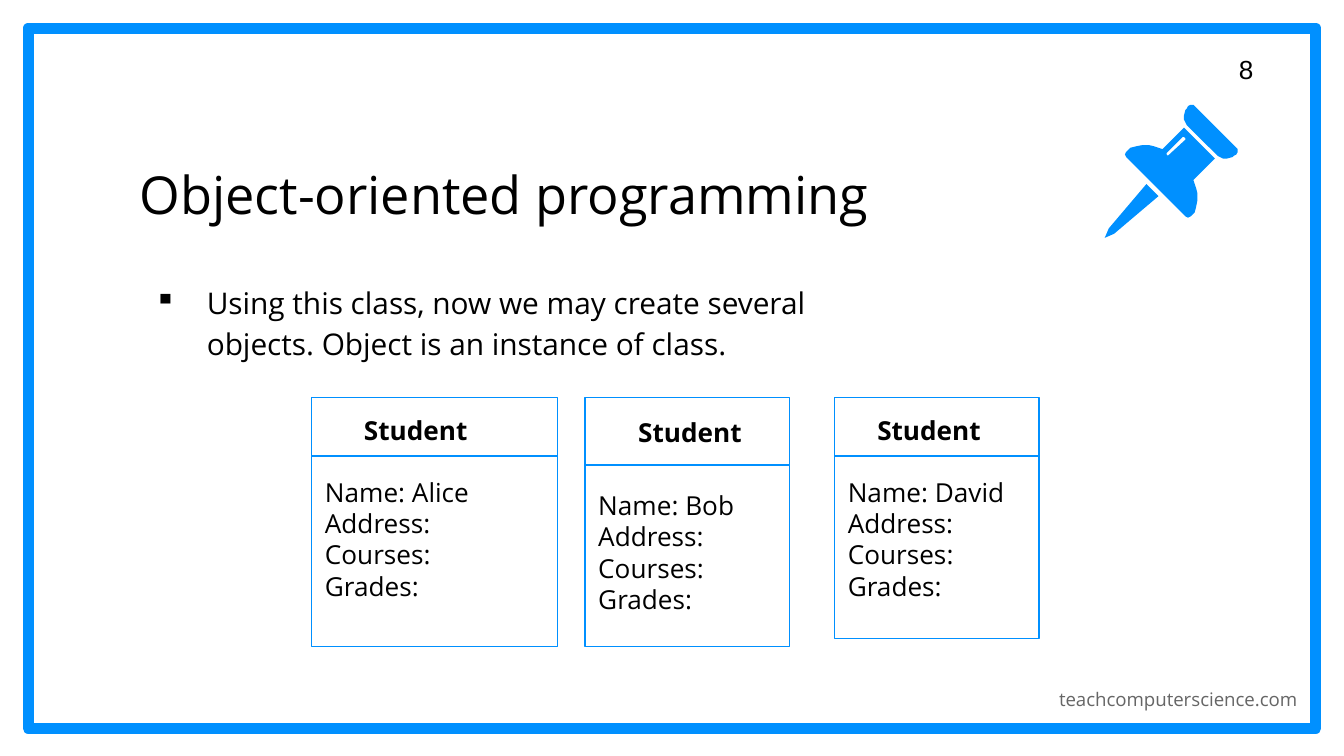
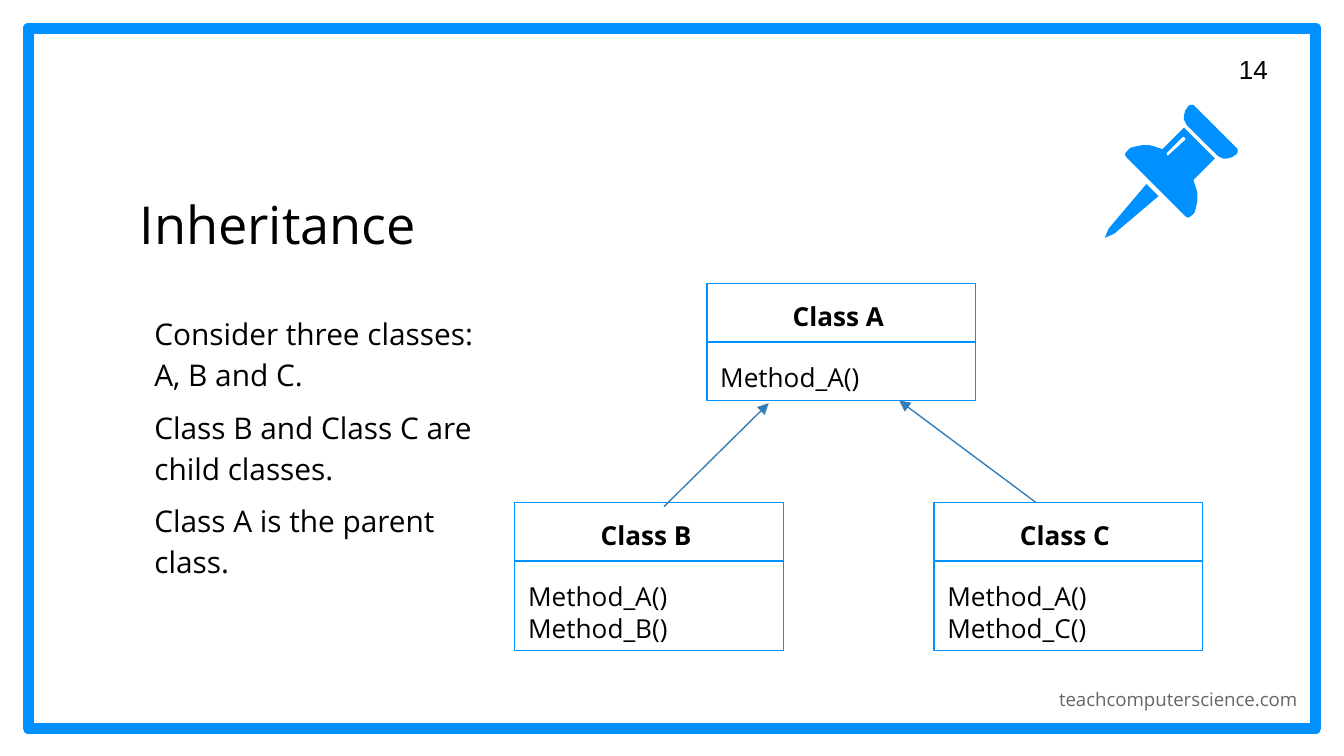
from dataclasses import dataclass

from lxml.etree import SubElement
from pptx import Presentation
from pptx.dml.color import RGBColor
from pptx.enum.shapes import MSO_CONNECTOR, MSO_SHAPE
from pptx.enum.text import MSO_ANCHOR, MSO_AUTO_SIZE, PP_ALIGN
from pptx.oxml.ns import qn
from pptx.shapes.connector import Connector
from pptx.slide import Slide
from pptx.text.text import TextFrame, _Paragraph
from pptx.util import Pt

BLUE = RGBColor(0x00, 0x90, 0xFF)
ARROW_BLUE = RGBColor(0x34, 0x7E, 0xB8)
BLACK = RGBColor(0, 0, 0)
GREY = RGBColor(0x66, 0x66, 0x66)
WHITE = RGBColor(0xFF, 0xFF, 0xFF)
FONT = "Open Sans"

# Pin outlines on a grid of 0.72 pt; each half is mirrored across x + y = PIN_AXIS.
PIN_UNIT = Pt(0.72)
PIN_AXIS = 999
NEEDLE_HALF = [(822, 177), (825, 170), (853, 137)]
CAP_HALF = [(889, 79), (888, 78), (886, 78), (884, 79), (883, 81), (882, 82),
            (881, 86), (881, 89), (882, 91), (883, 93)]
BODY_HALF = [(881, 95), (865, 111), (862, 110), (859, 109), (855, 108), (850, 108),
             (845, 109), (841, 110), (838, 113), (837, 115), (838, 117)]
SLIT = [(881, 102), (882, 103), (882, 104), (870, 115), (869, 116), (868, 115),
        (868, 114), (880, 102)]


@dataclass
class ClassBox:
    name: str
    members: list[str]
    left: float
    top: float
    width: float
    height: float
    name_indent: float
    name_width: float
    members_width: float
    head: float = 31.3
    name_drop: float = 5.4
    members_gap: float = 7


@dataclass
class Arrow:
    x1: float
    y1: float
    x2: float
    y2: float


def student(name: str, left: float, width: float, height: float, name_indent: float,
            name_width: float, members_width: float, **layout: float) -> ClassBox:
    members = [f"Name: {name}", "Address:", "Courses:", "Grades:"]
    return ClassBox("Student", members, left, 213.1, width, height,
                    name_indent, name_width, members_width, **layout)


def class_box(letter: str, methods: str, left: float, top: float, height: float) -> ClassBox:
    return ClassBox(f"Class {letter}", [f"Method_{m}()" for m in methods],
                    left, top, 144, height, 38.9, 71.3, 131)


STUDENTS = [
    student("Alice", 167, 131.8, 133.2, 20.9, 81.4, 92.2),
    student("Bob", 313.4, 109.6, 133.2, 21.4, 71.3, 87.8,
            head=36, name_drop=6.5, members_gap=9.4),
    student("David", 447.1, 109.6, 128.9, 15.8, 77, 98.6),
]
CLASSES = [
    class_box("A", "A", 378.7, 151.9, 62.6),
    class_box("B", "AB", 275.8, 269.3, 79.2),
    class_box("C", "AC", 500.4, 269.3, 79.2),
]
ARROWS = [Arrow(355.7, 271.4, 411.8, 216), Arrow(555.1, 269.3, 481.7, 214.6)]


def add_run(p: _Paragraph, text: str, size: float, color: RGBColor = BLACK,
            font: str = FONT, bold: bool = False) -> None:
    r = p.add_run()
    r.text = text
    r.font.name = font
    r.font.size = Pt(size)
    r.font.bold = bold
    r.font.color.rgb = color


def set_insets(tf: TextFrame, side: float, end: float) -> None:
    tf.margin_left = tf.margin_right = Pt(side)
    tf.margin_top = tf.margin_bottom = Pt(end)


def add_text_box(s: Slide, left: float, top: float, width: float, height: float,
                 end_inset: float = 7.2) -> TextFrame:
    tf = s.shapes.add_textbox(Pt(left), Pt(top), Pt(width), Pt(height)).text_frame
    tf.word_wrap = True
    set_insets(tf, 7.2, end_inset)
    return tf


def paragraph_at(tf: TextFrame, i: int) -> _Paragraph:
    return tf.add_paragraph() if i else tf.paragraphs[0]


def add_line(s: Slide, x1: float, y1: float, x2: float, y2: float,
             color: RGBColor) -> Connector:
    line = s.shapes.add_connector(MSO_CONNECTOR.STRAIGHT, Pt(x1), Pt(y1), Pt(x2), Pt(y2))
    line.line.color.rgb = color
    line.line.width = Pt(0.75)
    SubElement(line.element.spPr, qn("a:effectLst"))
    return line


def add_arrow(s: Slide, arrow: Arrow) -> None:
    line = add_line(s, arrow.x1, arrow.y1, arrow.x2, arrow.y2, ARROW_BLUE)
    SubElement(line.element.spPr.find(qn("a:ln")), qn("a:tailEnd"), type="triangle")


def mirrored(half: list[tuple[int, int]]) -> list[tuple[int, int]]:
    return half + [(PIN_AXIS - y, PIN_AXIS - x) for x, y in reversed(half)]


def add_pin(s: Slide) -> None:
    for outline, *holes in ([mirrored(NEEDLE_HALF)], [mirrored(CAP_HALF)],
                            [mirrored(BODY_HALF), SLIT]):
        builder = s.shapes.build_freeform(*outline[0], scale=PIN_UNIT)
        builder.add_line_segments(outline[1:], close=True)
        for hole in holes:
            builder.move_to(*hole[0])
            builder.add_line_segments(hole[1:], close=True)
        part = builder.convert_to_shape()
        part.shadow.inherit = False
        part.fill.solid()
        part.fill.fore_color.rgb = BLUE
        part.line.fill.background()


def add_titled_slide(prs: Presentation, title: str, title_top: float, number: int) -> Slide:
    """Add a slide with the frame, footer, title, page number and pin."""
    s = prs.slides.add_slide(prs.slide_layouts[5])
    frame = s.shapes.add_shape(MSO_SHAPE.RECTANGLE, Pt(15.1), Pt(15.1), Pt(689.8), Pt(375.1))
    frame.shadow.inherit = False
    frame.fill.solid()
    frame.fill.fore_color.rgb = WHITE
    frame.line.color.rgb = BLUE
    frame.line.width = Pt(6)

    p = add_text_box(s, 552.2, 362.2, 149.8, 20.9).paragraphs[0]
    p.alignment = PP_ALIGN.RIGHT
    add_run(p, "teachcomputerscience.com", 10, GREY)

    heading = s.shapes.title
    frame.element.addnext(heading.element)  # keeps the title in front of the frame
    heading.left, heading.top = Pt(67.7), Pt(title_top)
    heading.width, heading.height = Pt(416.2), Pt(56.2)
    tf = heading.text_frame
    tf.auto_size = MSO_AUTO_SIZE.NONE
    tf.word_wrap = True
    tf.vertical_anchor = MSO_ANCHOR.BOTTOM
    set_insets(tf, 7.2, 7.2)
    p = tf.paragraphs[0]
    p.alignment = PP_ALIGN.LEFT
    add_run(p, title, 28)

    tf = add_text_box(s, 656.6, 21.6, 43.2, 31)
    tf.vertical_anchor = MSO_ANCHOR.MIDDLE
    add_run(tf.paragraphs[0], str(number), 14, font="Arial")
    add_pin(s)
    return s


def add_body(s: Slide, top: float, width: float, texts: list[str],
             margin: float, indent: float = 0, bullet: str = "") -> None:
    tf = add_text_box(s, 67.7, top, width, 157.7)
    for i, text in enumerate(texts):
        p = paragraph_at(tf, i)
        pPr = p._p.get_or_add_pPr()
        pPr.set("marL", str(Pt(margin)))
        pPr.set("indent", str(Pt(indent)))
        if bullet:
            color = SubElement(pPr, qn("a:buClr"))
            SubElement(color, qn("a:srgbClr"), val=str(BLACK))
            SubElement(pPr, qn("a:buChar"), char=bullet)
        p.line_spacing = 1.15
        if i:
            p.space_before = Pt(6)
        add_run(p, text, 16)


def add_class_box(s: Slide, box: ClassBox) -> None:
    rect = s.shapes.add_shape(MSO_SHAPE.RECTANGLE, Pt(box.left), Pt(box.top),
                              Pt(box.width), Pt(box.height))
    rect.shadow.inherit = False
    rect.fill.background()
    rect.line.color.rgb = BLUE
    rect.line.width = Pt(0.75)

    y = box.top + box.head
    divider = add_line(s, box.left, y, box.left + box.width, y, BLUE)
    if box.head * 2 == box.height:
        divider.begin_connect(rect, 1)
        divider.end_connect(rect, 3)

    tf = add_text_box(s, box.left + box.name_indent, box.top + box.name_drop,
                      box.name_width, 24.5, 3.6)
    tf.auto_size = MSO_AUTO_SIZE.SHAPE_TO_FIT_TEXT
    add_run(tf.paragraphs[0], box.name, 14, bold=True)

    tf = add_text_box(s, box.left, y + box.members_gap, box.members_width,
                      7.2 + 16.9 * len(box.members), 3.6)
    tf.auto_size = MSO_AUTO_SIZE.SHAPE_TO_FIT_TEXT
    for i, member in enumerate(box.members):
        add_run(paragraph_at(tf, i), member, 14)


def main() -> None:
    prs = Presentation()
    prs.slide_width, prs.slide_height = Pt(720), Pt(405)

    s = add_titled_slide(prs, "Object-oriented programming", 71.3, 8)
    add_body(s, 142.6, 401.8,
             ["Using this class, now we may create several objects. "
              "Object is an instance of class."],
             margin=36, indent=-28.1, bullet="▪")
    for box in STUDENTS:
        add_class_box(s, box)

    s = add_titled_slide(prs, "Inheritance", 87.8, 14)
    for box in CLASSES:
        add_class_box(s, box)
    for arrow in ARROWS:
        add_arrow(s, arrow)
    add_body(s, 159.1, 195.1,
             ["Consider three classes: A, B and C.",
              "Class B and Class C are child classes.",
              "Class A is the parent class."],
             margin=7.9)

    prs.save("out.pptx")


if __name__ == "__main__":
    main()
